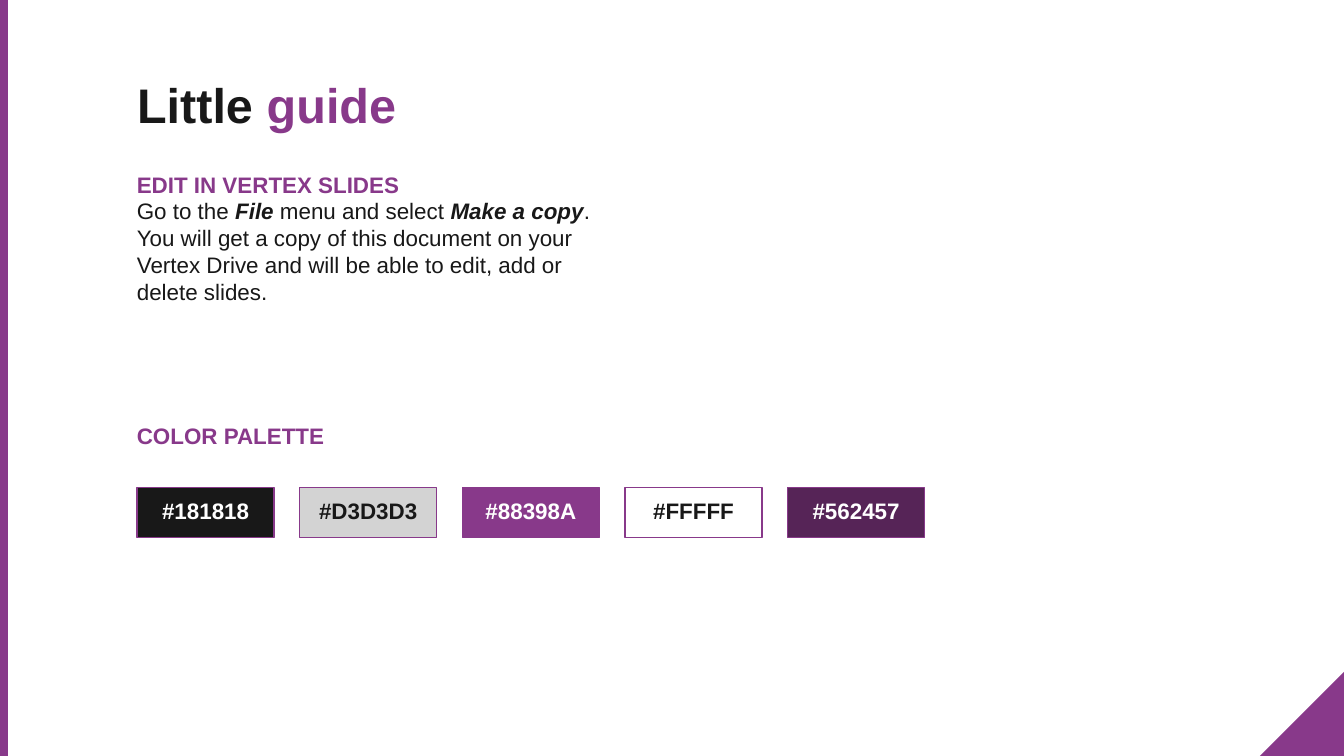
"""Build the "Little guide" slide with editing instructions and a colour palette."""
import pptx
import pptx.util
import pptx.dml.color
import pptx.enum.shapes
import pptx.enum.text

Inches = pptx.util.Inches
SHAPE = pptx.enum.shapes.MSO_SHAPE
ALIGN = pptx.enum.text.PP_ALIGN
ANCHOR = pptx.enum.text.MSO_ANCHOR

WIDTH = 10
HEIGHT = WIDTH * 9 / 16
CORNER = WIDTH / 16
PURPLE, DARK, WHITE = "88398A", "181818", "FFFFFF"
LEFT = 0.92
SWATCHES = [
    ("#181818", DARK, WHITE),
    ("#D3D3D3", "D3D3D3", DARK),
    ("#88398A", PURPLE, WHITE),
    ("#FFFFF", WHITE, DARK),
    ("#562457", "562457", WHITE),
]


def rgb(value):
    """Return the colour for a hex string."""
    return pptx.dml.color.RGBColor.from_string(value)


def place(sp, left, top, width, height):
    """Set the position and size of a shape in inches."""
    sp.left, sp.top = Inches(left), Inches(top)
    sp.width, sp.height = Inches(width), Inches(height)


def add_run(p, text, color, size=12, bold=False, italic=False):
    """Append one formatted run to a paragraph."""
    r = p.add_run()
    r.text = text
    r.font.name = "Arial"
    r.font.size = pptx.util.Pt(size)
    r.font.bold, r.font.italic = bold, italic
    r.font.color.rgb = rgb(color)


def set_frame(tf, anchor=ANCHOR.TOP):
    """Give a text frame wrapping, even insets and an anchor."""
    tf.word_wrap = True
    tf.auto_size = pptx.enum.text.MSO_AUTO_SIZE.NONE
    tf.vertical_anchor = anchor
    tf.margin_left = tf.margin_right = Inches(0.1)
    tf.margin_top = tf.margin_bottom = Inches(0.1)


def add_title(s):
    """Fill and place the title placeholder."""
    sp = s.shapes.title
    place(sp, LEFT, 0.46, 2.48, 0.94)
    set_frame(sp.text_frame)
    p = sp.text_frame.paragraphs[0]
    p.alignment = ALIGN.LEFT
    add_run(p, "Little ", DARK, 26, bold=True)
    add_run(p, "guide", PURPLE, 26, bold=True)


def add_section(s, top, height, heading):
    """Add a text box with a purple heading and return its frame."""
    sp = s.shapes.add_textbox(Inches(LEFT), Inches(top), Inches(3.63), Inches(height))
    tf = sp.text_frame
    set_frame(tf)
    add_run(tf.paragraphs[0], heading, PURPLE, bold=True)
    return tf


def add_instructions(s):
    """Add the section that explains how to edit the slides."""
    tf = add_section(s, 1.17, 1.49, "EDIT IN VERTEX SLIDES")
    p = tf.add_paragraph()
    for text, strong in [("Go to the ", False), ("File", True), (" menu and select ", False),
                         ("Make a copy", True), (".", False)]:
        add_run(p, text, DARK, bold=strong, italic=strong)
    add_run(tf.add_paragraph(), "You will get a copy of this document on your Vertex Drive "
            "and will be able to edit, add or delete slides.", DARK)


def add_block(s, kind, left, top, width, height, fill):
    """Add a filled shape without outline or shadow."""
    sp = s.shapes.add_shape(kind, Inches(left), Inches(top), Inches(width), Inches(height))
    sp.shadow.inherit = False
    sp.fill.solid()
    sp.fill.fore_color.rgb = rgb(fill)
    sp.line.fill.background()
    return sp


def add_swatch(s, left, label, fill, color):
    """Add one outlined palette swatch with its colour code."""
    sp = add_block(s, SHAPE.RECTANGLE, left, 3.63, 1.02, 0.37, fill)
    sp.line.color.rgb = rgb(PURPLE)
    sp.line.width = pptx.util.Pt(0.75)
    set_frame(sp.text_frame, ANCHOR.BOTTOM)
    p = sp.text_frame.paragraphs[0]
    p.alignment = ALIGN.CENTER
    add_run(p, label, color, bold=True)


def main():
    """Build and save the presentation."""
    prs = pptx.Presentation()
    prs.slide_width, prs.slide_height = Inches(WIDTH), Inches(HEIGHT)
    s = prs.slides.add_slide(prs.slide_layouts[5])
    corner = add_block(s, SHAPE.RIGHT_TRIANGLE, WIDTH - CORNER, HEIGHT - CORNER,
                       CORNER, CORNER, PURPLE)
    corner.element.spPr.xfrm.set("flipH", "1")
    add_block(s, SHAPE.RECTANGLE, 0, 0, 0.06, HEIGHT, PURPLE)
    add_title(s)
    add_instructions(s)
    add_section(s, 3.04, 0.59, "COLOR PALETTE")
    for i, (label, fill, color) in enumerate(SWATCHES):
        add_swatch(s, 1.02 + 1.21 * i, label, fill, color)
    prs.save("out.pptx")


if __name__ == "__main__":
    main()
